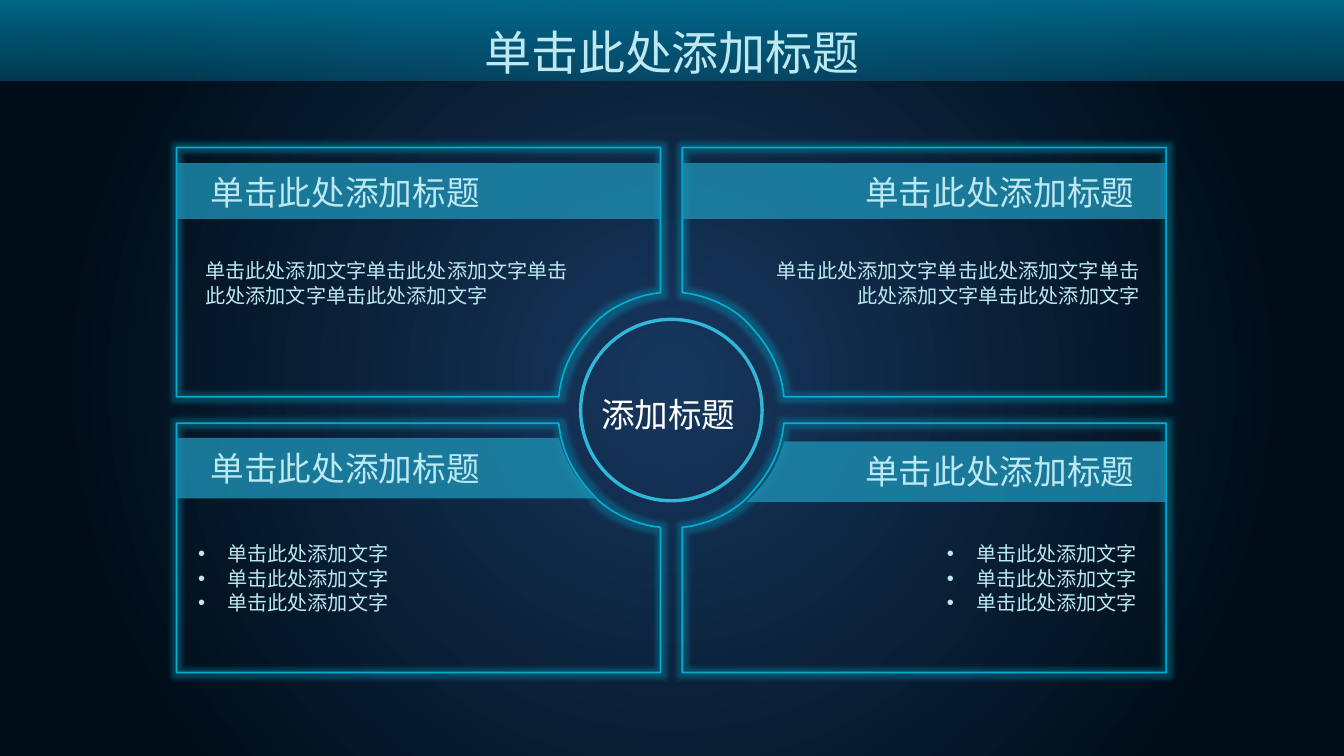
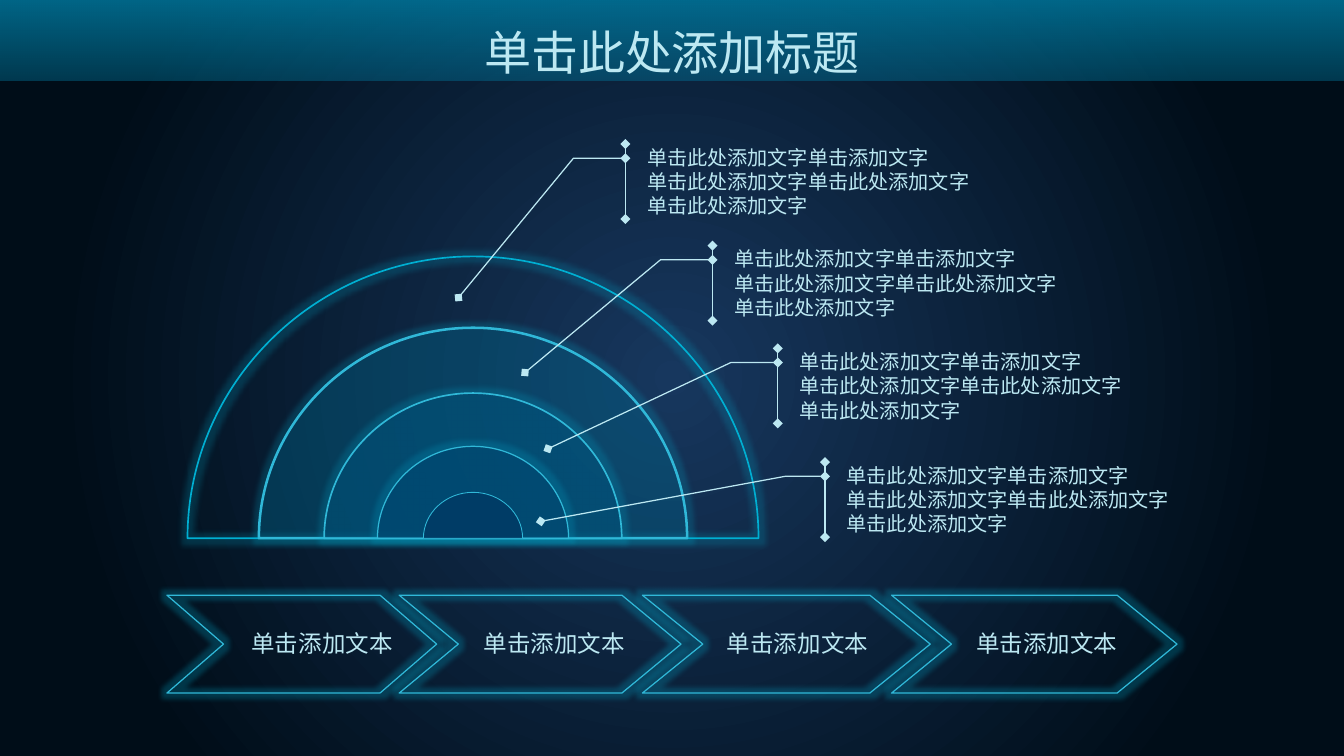
from lxml import etree
from pptx import Presentation
from pptx.dml.color import RGBColor
from pptx.enum.shapes import MSO_SHAPE
from pptx.enum.text import MSO_ANCHOR, MSO_AUTO_SIZE, PP_ALIGN
from pptx.oxml import parse_xml
from pptx.oxml.ns import nsdecls, qn
from pptx.util import Emu, Inches, Pt

LEFT, CENTER, RIGHT = PP_ALIGN.LEFT, PP_ALIGN.CENTER, PP_ALIGN.RIGHT
TOP, MIDDLE = MSO_ANCHOR.TOP, MSO_ANCHOR.MIDDLE
RECTANGLE, OVAL, CHEVRON = MSO_SHAPE.RECTANGLE, MSO_SHAPE.OVAL, MSO_SHAPE.CHEVRON
CALLOUT = MSO_SHAPE.LINE_CALLOUT_2_ACCENT_BAR

FONT = "Noto Sans CJK SC"
PALE = RGBColor(0xBC, 0xE8, 0xF2)
WHITE = RGBColor(0xFF, 0xFF, 0xFF)
CYAN = RGBColor(0x00, 0xAF, 0xD2)
SKY = RGBColor(0x30, 0xB8, 0xD8)
TEAL = RGBColor(0x1E, 0x8F, 0xB2)
NAVY = RGBColor(0x00, 0x3C, 0x66)
BAND = RGBColor(0x00, 0x7D, 0xA4)
GLOW_CENTER = RGBColor(0x17, 0x37, 0x5E)
GLOW_EDGE = RGBColor(0x00, 0x0D, 0x18)

WIDTH, HEIGHT, BAND_HEIGHT = 11.11, 6.25, 0.67

TITLE = "单击此处添加标题"
PHRASE = "单击此处添加文字"
HUB = "添加标题"
STEP = "单击添加文本"
CALLOUT_LINES = [PHRASE + "单击添加文字", PHRASE * 2, PHRASE]

# Panels: horizontal side, vertical side, strip top, strip height, text, text box
PANELS = [
    (-1, -1, 1.35, 0.46, [PHRASE * 4], (1.6, 2.09, 3.23, 0.5)),
    (1, -1, 1.35, 0.46, [PHRASE * 4], (6.25, 2.09, 3.27, 0.5)),
    (-1, 1, 3.62, 0.5, [PHRASE] * 3, (1.54, 4.43, 3.67, 0.71)),
    (1, 1, 3.65, 0.5, [PHRASE] * 3, (5.83, 4.43, 3.67, 0.71)),
]
HUB_X, HUB_Y, HUB_RADIUS = 5.55, 3.39, 0.75
GAP_X, GAP_Y = 0.09, 0.11
REACH_X, REACH_Y = 4.09, 2.17

# Curved edge around the hub, as distances from its centre
NOTCH_START = (GAP_X, 0.97)
NOTCH_CURVES = [
    ((0.3, 0.95), (0.52, 0.84), (0.63, 0.72)),
    ((0.74, 0.6), (0.9, 0.42), (0.93, GAP_Y)),
]

# Rings: radius, fill opacity in percent, line colour, line width
RINGS = [
    (2.36, 0, CYAN, 1),
    (1.77, 20, SKY, 1.5),
    (1.23, 40, SKY, 1),
    (0.79, 60, SKY, 0.75),
    (0.41, 100, SKY, 0.5),
]
RING_X, RING_BASE, RING_CUT, ROUNDNESS = 3.91, 4.45, 0.03, 0.55

# Callouts: left, top, width, elbow distance, target x, target y
CALLOUTS = [
    (5.25, 1.19, 3.45, 0.51, 3.79, 2.46),
    (5.97, 2.03, 3.47, 0.51, 4.34, 3.08),
    (6.51, 2.88, 3.48, 0.47, 4.53, 3.71),
    (6.9, 3.82, 3.38, 0.41, 4.47, 4.31),
]
CALLOUT_HEIGHT = 0.62

CHEVRONS = [(1.38, 2.23), (3.3, 2.33), (5.31, 2.38), (7.37, 2.36)]
CHEVRON_TOP, CHEVRON_HEIGHT, TIP_SHARE = 4.92, 0.81, 0.21


def gradient(stops, direction):
    """Gradient fill element from (position, colour, opacity) stops in percent."""
    marks = "".join(
        f'<a:gs pos="{place * 1000}"><a:srgbClr val="{color}">'
        f'<a:alpha val="{opacity * 1000}"/></a:srgbClr></a:gs>'
        for place, color, opacity in stops)
    return parse_xml(f'<a:gradFill {nsdecls("a")} rotWithShape="1">'
                     f"<a:gsLst>{marks}</a:gsLst>{direction}</a:gradFill>")


def swap_gradient(fill, root, element):
    fill.gradient()
    old = next(root.iter(qn("a:gradFill")))
    old.getparent().replace(old, element)


def set_opacity(parent, percent):
    color = next(parent.iter(qn("a:srgbClr")))
    etree.SubElement(color, qn("a:alpha")).set("val", str(percent * 1000))


def paint(shape, fill=None, opacity=100, line=None, weight=1, glow=0):
    """Fill, outline and optional glow (its opacity in percent)."""
    shape.shadow.inherit = False
    if fill is None or opacity == 0:
        shape.fill.background()
    else:
        shape.fill.solid()
        shape.fill.fore_color.rgb = fill
        if opacity < 100:
            set_opacity(shape._element.spPr, opacity)
    if line is None:
        shape.line.fill.background()
    else:
        shape.line.color.rgb = line
        shape.line.width = Pt(weight)
    if glow:
        effects = shape._element.spPr.find(qn("a:effectLst"))
        effects.append(parse_xml(
            f'<a:glow {nsdecls("a")} rad="{Pt(6)}"><a:srgbClr val="{CYAN}">'
            f'<a:alpha val="{glow * 1000}"/></a:srgbClr></a:glow>'))
    return shape


def write(shape, lines, size, color=PALE, align=LEFT, anchor=TOP, bullets=False):
    frame = shape.text_frame
    frame.vertical_anchor = anchor
    frame.text = "\n".join(lines)
    for para in frame.paragraphs:
        para.alignment = align
        if bullets:
            props = para._p.get_or_add_pPr()
            props.set("marL", str(Inches(0.24)))
            props.set("indent", str(-Inches(0.24)))
            etree.SubElement(props, qn("a:buFont")).set("typeface", "Arial")
            etree.SubElement(props, qn("a:buChar")).set("char", "•")
        for span in para.runs:
            span.font.size = Pt(size)
            span.font.color.rgb = color
            span.font.name = FONT
            east = etree.SubElement(span._r.get_or_add_rPr(), qn("a:ea"))
            east.set("typeface", FONT)


def add_text(page, place, lines, size, wrap=True, **style):
    box = page.shapes.add_textbox(*map(Inches, place))
    box.text_frame.word_wrap = wrap
    box.text_frame.auto_size = MSO_AUTO_SIZE.SHAPE_TO_FIT_TEXT
    write(box, lines, size, **style)


def add_preset(page, kind, *place):
    return page.shapes.add_shape(kind, *map(Inches, place))


def add_outline(page, start, steps):
    """Closed outline; a step is (end,) for a line or (control, control, end)."""
    corners = [(Inches(x), Inches(y)) for x, y in [start] + [s[-1] for s in steps]]
    builder = page.shapes.build_freeform(*corners[0], scale=1.0)
    builder.add_line_segments(corners[1:], close=True)
    shape = builder.convert_to_shape(Emu(0), Emu(0))
    lines = list(shape._element.spPr.iter(qn("a:lnTo")))
    for line, step in zip(lines, steps):
        if len(step) == 3:
            curve = etree.Element(qn("a:cubicBezTo"))
            for x, y in step:
                point = etree.SubElement(curve, qn("a:pt"))
                point.set("x", str(Inches(x) - shape.left))
                point.set("y", str(Inches(y) - shape.top))
            line.getparent().replace(line, curve)
    return shape


def style_background(deck):
    master = deck.slide_master
    swap_gradient(
        master.background.fill, master._element.cSld,
        gradient([(0, GLOW_CENTER, 100), (80, GLOW_EDGE, 100)],
                 '<a:path path="circle"><a:fillToRect l="50000" t="50000" '
                 'r="50000" b="50000"/></a:path>'))


def add_band(page, layout):
    """Draw the band and move it to the layout, so all slides share it."""
    band = paint(add_preset(page, RECTANGLE, 0, 0, WIDTH, BAND_HEIGHT))
    swap_gradient(band.fill, band._element.spPr,
                  gradient([(0, BAND, 80), (100, BAND, 39)],
                           '<a:lin ang="5400000" scaled="0"/>'))
    layout.shapes._spTree.insert(2, band._element)


def add_page(deck, layout):
    page = deck.slides.add_slide(layout)
    title = page.shapes.title
    title.left, title.top, title.width, title.height = map(
        Inches, (3.44, 0.14, 4.23, 0.58))
    title.text_frame.auto_size = MSO_AUTO_SIZE.NONE
    write(title, [TITLE], 28, align=CENTER)
    return page


def add_panel(page, side_x, side_y, strip_top, strip_height, lines, text_place):
    def around_hub(point):
        return HUB_X + side_x * point[0], HUB_Y + side_y * point[1]

    edges = [(REACH_X, GAP_Y), (REACH_X, REACH_Y), (GAP_X, REACH_Y)]
    steps = NOTCH_CURVES + [(edge,) for edge in edges]
    frame = add_outline(page, around_hub(NOTCH_START),
                        [tuple(map(around_hub, step)) for step in steps])
    paint(frame, line=CYAN, glow=30)

    if side_y < 0:
        left = min(HUB_X + side_x * GAP_X, HUB_X + side_x * REACH_X)
        strip = add_preset(page, RECTANGLE, left, strip_top,
                           REACH_X - GAP_X, strip_height)
    else:
        high = strip_top - HUB_Y
        low = high + strip_height
        steps = [((0.85, high + 0.28), (0.75, high + 0.37), (0.62, low)),
                 ((REACH_X, low),), ((REACH_X, high),)]
        strip = add_outline(page, around_hub((0.93, high)),
                            [tuple(map(around_hub, step)) for step in steps])
    paint(strip, TEAL, 80)

    heading_left = 1.62 if side_x < 0 else 7.03
    heading_top = strip_top + (0.02 if side_y < 0 else 0.03)
    add_text(page, (heading_left, heading_top, 2.47, 0.44), [TITLE], 20,
             align=CENTER)
    add_text(page, text_place, lines, 12, align=LEFT if side_x < 0 else RIGHT,
             bullets=len(lines) > 1)


def add_ring(page, radius, opacity, line, weight):
    rise = radius - RING_CUT
    top = RING_BASE - rise
    left, right = RING_X - radius, RING_X + radius
    shoulder = RING_BASE - ROUNDNESS * rise
    reach = ROUNDNESS * radius
    ring = add_outline(page, (RING_X, top), [
        ((RING_X + reach, top), (right, shoulder), (right, RING_BASE)),
        ((left, RING_BASE),),
        ((left, shoulder), (RING_X - reach, top), (RING_X, top)),
    ])
    paint(ring, NAVY, opacity, line, weight, glow=0 if opacity == 100 else 20)


def add_callout(page, left, top, width, elbow, target_x, target_y):
    callout = add_preset(page, CALLOUT, left, top, width, CALLOUT_HEIGHT)
    bends = [0.19, -0.08 / width, 0.19, -elbow / width,
             (target_y - top) / CALLOUT_HEIGHT, (target_x - left) / width]
    for index, value in enumerate(bends):
        callout.adjustments[index] = value
    paint(callout, line=PALE, weight=0.75)
    line = callout.line._get_or_add_ln()
    for end in ("a:headEnd", "a:tailEnd"):
        etree.SubElement(line, qn(end)).set("type", "diamond")
    write(callout, CALLOUT_LINES, 12, anchor=MIDDLE)


def add_chevron(page, left, width):
    chevron = add_preset(page, CHEVRON, left, CHEVRON_TOP, width, CHEVRON_HEIGHT)
    chevron.adjustments[0] = TIP_SHARE * width / CHEVRON_HEIGHT
    paint(chevron, line=SKY, weight=0.75, glow=25)
    add_text(page, (left + 0.6, 5.15, 1.38, 0.34), [STEP], 14, wrap=False)


def main():
    deck = Presentation()
    deck.slide_width, deck.slide_height = Inches(WIDTH), Inches(HEIGHT)
    layout = deck.slide_layouts[5]
    style_background(deck)

    panels_page = add_page(deck, layout)
    add_band(panels_page, layout)
    for panel in PANELS:
        add_panel(panels_page, *panel)
    hub = add_preset(panels_page, OVAL, HUB_X - HUB_RADIUS, HUB_Y - HUB_RADIUS,
                     2 * HUB_RADIUS, 2 * HUB_RADIUS)
    paint(hub, line=SKY, weight=2)
    add_text(panels_page, (4.84, 3.21, 1.37, 0.44), [HUB], 20, color=WHITE,
             align=CENTER)

    rings_page = add_page(deck, layout)
    for chevron in CHEVRONS:
        add_chevron(rings_page, *chevron)
    for ring in RINGS:
        add_ring(rings_page, *ring)
    for callout in CALLOUTS:
        add_callout(rings_page, *callout)

    deck.save("out.pptx")


if __name__ == "__main__":
    main()
